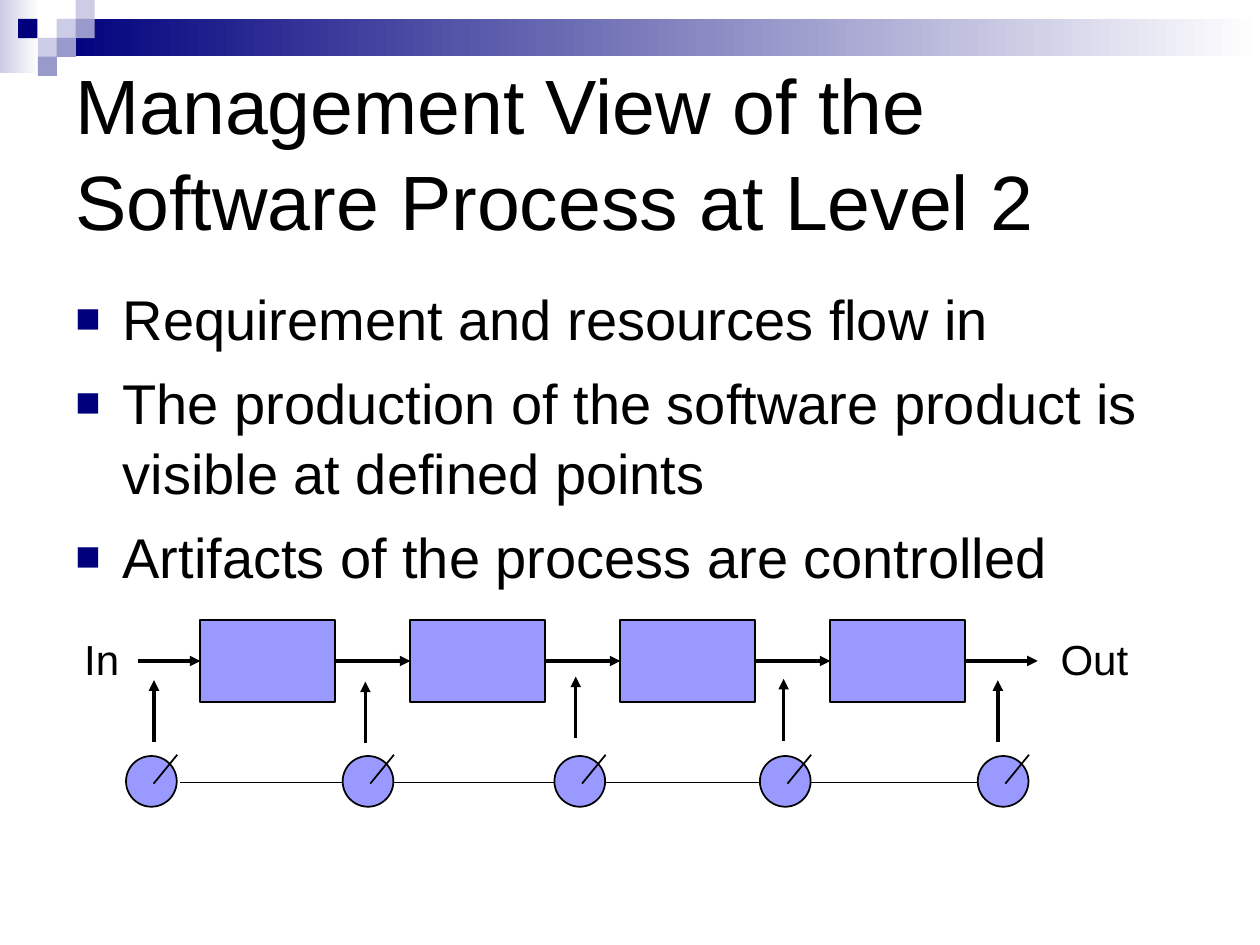
from lxml.etree import SubElement
from pptx import Presentation
from pptx.dml.color import RGBColor
from pptx.enum.shapes import MSO_CONNECTOR, MSO_SHAPE
from pptx.enum.text import MSO_ANCHOR
from pptx.oxml.ns import qn
from pptx.util import Pt

COLORS = {
    "ink": "000000",
    "navy": "00007D",
    "slate": "9999CC",
    "pale": "CCCCE6",
    "white": "FFFFFF",
    "process": "9999FF",
}


def color(name):
    return RGBColor.from_string(COLORS[name])


class SlideBuilder:
    """Holds the font and the slide that elements are added to."""

    font = "Arial"

    def __init__(self, page):
        self.page = page

    def shape(self, kind, left, top, width, height, fill, outlined=False):
        shape = self.page.shapes.add_shape(kind, Pt(left), Pt(top), Pt(width), Pt(height))
        shape.shadow.inherit = False
        shape.fill.solid()
        shape.fill.fore_color.rgb = color(fill)
        if outlined:
            shape.line.color.rgb = color("ink")
            shape.line.width = Pt(1)
        else:
            shape.line.fill.background()
        return shape

    def fading_bar(self, left, top, width, height, start):
        """Add a bar that fades to white at its right end."""
        bar = self.shape(MSO_SHAPE.RECTANGLE, left, top, width, height, start)
        bar.fill.gradient()
        bar.fill.gradient_angle = 0
        for stop, position, name in zip(bar.fill.gradient_stops, (0, 1), (start, "white")):
            stop.position = position
            stop.color.rgb = color(name)

    def line(self, x1, y1, x2, y2, width=1):
        line = self.page.shapes.add_connector(
            MSO_CONNECTOR.STRAIGHT, Pt(x1), Pt(y1), Pt(x2), Pt(y2)
        )
        line.line.color.rgb = color("ink")
        line.line.width = Pt(width)
        SubElement(line._element.spPr, qn("a:effectLst"))
        return line

    def arrow(self, x1, y1, x2, y2):
        arrow = self.line(x1, y1, x2, y2, width=2)
        SubElement(arrow.line._get_or_add_ln(), qn("a:tailEnd"), type="triangle")
        return arrow

    def gauge(self, left, top):
        """Add a dial with a needle that points up and right."""
        self.shape(MSO_SHAPE.OVAL, left, top, 29, 29, "process", outlined=True)
        self.line(left + 15.8, top + 15.8, left + 29.3, top - 0.7)

    def text(self, left, top, width, height, paragraphs, size,
             bullets=False, wrap=True, anchor=MSO_ANCHOR.TOP, spacing=1.0):
        box = self.page.shapes.add_textbox(Pt(left), Pt(top), Pt(width), Pt(height))
        frame = box.text_frame
        frame.word_wrap = wrap
        frame.vertical_anchor = anchor
        for index, words in enumerate(paragraphs):
            para = frame.add_paragraph() if index else frame.paragraphs[0]
            if bullets:
                self.bullet(para)
            para.line_spacing = spacing
            para.space_before = Pt(8 if index else 0)
            span = para.add_run()
            span.text = words
            style = {"name": self.font, "size": Pt(size)}
            for attribute, value in style.items():
                setattr(span.font, attribute, value)
            span.font.color.rgb = color("ink")

    def bullet(self, para):
        properties = para._p.get_or_add_pPr()
        properties.set("marL", str(Pt(27)))
        properties.set("indent", str(-Pt(27)))
        tint = SubElement(properties, qn("a:buClr"))
        SubElement(tint, qn("a:srgbClr"), val=COLORS["navy"])
        SubElement(properties, qn("a:buSzPct"), val="75000")
        SubElement(properties, qn("a:buFont"), typeface=self.font)
        SubElement(properties, qn("a:buChar"), char="■")


def add_header(builder):
    builder.fading_bar(0, 0, 22.5, 42, "pale")
    builder.fading_bar(32.4, 10.8, 687.6, 21.4, "navy")
    squares = [
        (32.4, 10.8, "pale"), (43.2, 0, "pale"), (43.2, 10.8, "slate"),
        (21.6, 21.6, "pale"), (10.4, 10.8, "navy"), (32.4, 21.6, "slate"),
        (21.6, 32.4, "slate"),
    ]
    for left, top, fill in squares:
        builder.shape(MSO_SHAPE.RECTANGLE, left, top, 11, 11, fill)


def add_process_flow(builder):
    middle = 377.7
    steps = [
        builder.shape(MSO_SHAPE.RECTANGLE, 114.5 + 120 * index, 354.3, 77, 46.8,
                      "process", outlined=True)
        for index in range(4)
    ]
    builder.text(41, 358.5, 34.6, 36, ["In"], 24, wrap=False)
    builder.text(599, 358.5, 53.3, 36, ["Out"], 24, wrap=False)
    for before, after in zip([None] + steps, steps + [None]):
        arrow = builder.arrow(79, middle, 593, middle)
        if before:
            arrow.begin_connect(before, 3)
        if after:
            arrow.end_connect(after, 1)


def add_checkpoints(builder):
    builder.line(103, 447.1, 558.7, 447.1)
    # Each checkpoint: left of the gauge, x of its arrow, y of the arrow's start
    checkpoints = [
        (72, 88, 424), (195.8, 208.8, 424.8), (316.8, 329, 422),
        (434.2, 447.8, 423.2), (558.7, 570.2, 424),
    ]
    for left, x, start in checkpoints:
        builder.gauge(left, 432)
        builder.arrow(x, start, x, start - 35.3)


def main():
    deck = Presentation()
    deck.slide_width, deck.slide_height = Pt(720), Pt(540)
    builder = SlideBuilder(deck.slides.add_slide(deck.slide_layouts[6]))
    add_header(builder)
    builder.text(36, 36, 648, 108, ["Management View of the Software Process at Level 2"],
                 44, anchor=MSO_ANCHOR.BOTTOM, spacing=1.04)
    builder.text(36, 157.5, 648, 190, [
        "Requirement and resources flow in",
        "The production of the software product is visible at defined points",
        "Artifacts of the process are controlled",
    ], 32, bullets=True, spacing=1.04)
    add_process_flow(builder)
    add_checkpoints(builder)
    deck.save("out.pptx")


if __name__ == "__main__":
    main()
